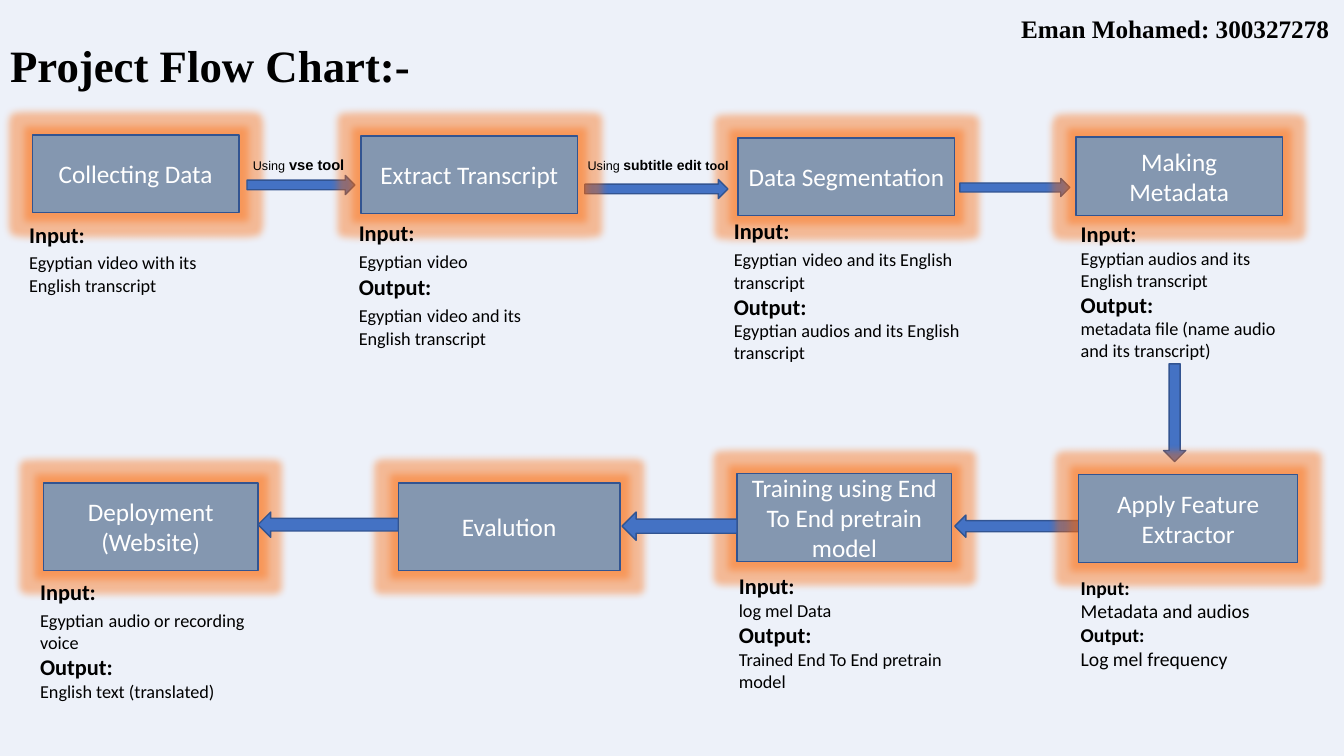
from copy import deepcopy
from lxml import etree
from pptx import Presentation
from pptx.dml.color import RGBColor
from pptx.enum.shapes import MSO_SHAPE as Preset
from pptx.enum.text import MSO_ANCHOR as Anchor, PP_ALIGN as Align
from pptx.oxml.ns import qn
from pptx.util import Inches, Pt

COLORS = {"page": "EDF1F9", "step": "8497B0", "arrow": "4472C4", "edge": "325491",
          "glow": "FF6600", "light": "FFFFFF", "dark": "000000"}


def add_block(preset, place, fill):
    block = page.shapes.add_shape(preset, *map(Inches, place))
    block.shadow.inherit = False
    block.fill.solid()
    block.fill.fore_color.rgb = RGBColor.from_string(COLORS[fill])
    block.line.color.rgb = RGBColor.from_string(COLORS["edge"])
    block.line.width = Pt(1)
    return block


def add_span(para, words, size, bold=False, font="Calibri", color="dark"):
    span = para.add_run()
    span.text = words
    span.font.size = Pt(size)
    span.font.bold = bold
    span.font.name = font
    span.font.color.rgb = RGBColor.from_string(COLORS[color])
    return span


deck = Presentation()
deck.slide_width, deck.slide_height = Inches(13.33), Inches(7.5)
page = deck.slides.add_slide(deck.slide_layouts[5])
page.background.fill.solid()
page.background.fill.fore_color.rgb = RGBColor.from_string(COLORS["page"])

title = page.shapes.title
title.left, title.top, title.width, title.height = map(Inches, (0, 0.29, 8.24, 0.76))
title.text_frame.vertical_anchor = Anchor.MIDDLE
para = title.text_frame.paragraphs[0]
para.alignment = Align.LEFT
para.line_spacing = 0.9
add_span(para, "Project Flow Chart:-", 32, True, "Times New Roman")

lower_steps = [
    ("Collecting Data", (0.32, 1.34, 2.05, 0.77)),
    ("Data Segmentation", (7.32, 1.37, 2.15, 0.77)),
    ("Training using End To End pretrain model", (7.31, 4.7, 2.13, 0.87)),
    ("Deployment\n(Website)", (0.43, 4.79, 2.13, 0.87)),
    ("Evalution", (3.95, 4.79, 2.2, 0.87)),
]
arrows = [
    (Preset.RIGHT_ARROW, (2.45, 1.74, 1.07, 0.19)),
    (Preset.RIGHT_ARROW, (5.8, 1.78, 1.42, 0.19)),
    (Preset.RIGHT_ARROW, (9.52, 1.77, 1.09, 0.18)),
    (Preset.DOWN_ARROW, (11.54, 3.61, 0.22, 0.97)),
    (Preset.LEFT_ARROW, (9.47, 5.11, 1.24, 0.22)),
    (Preset.LEFT_ARROW, (6.17, 5.08, 1.14, 0.28)),
    (Preset.LEFT_ARROW, (2.56, 5.08, 1.39, 0.25)),
]
upper_steps = [
    ("Extract Transcript", (3.58, 1.35, 2.15, 0.77)),
    ("Making\nMetadata", (10.67, 1.36, 2.05, 0.78)),
    ("Apply Feature Extractor", (10.7, 4.71, 2.17, 0.87)),
]

for steps, links in ((lower_steps, arrows), (upper_steps, [])):
    for name, place in steps:
        step = add_block(Preset.RECTANGLE, place, "step")
        effects = step._element.spPr.find(qn("a:effectLst"))
        glow = etree.SubElement(effects, qn("a:glow"), rad="139700")
        tint = etree.SubElement(glow, qn("a:srgbClr"), val=COLORS["glow"])
        etree.SubElement(tint, qn("a:alpha"), val="40000")
        frame = step.text_frame
        frame.word_wrap = True
        frame.vertical_anchor = Anchor.MIDDLE
        for index, line in enumerate(name.split("\n")):
            para = frame.add_paragraph() if index else frame.paragraphs[0]
            para.alignment = Align.CENTER
            add_span(para, line, 18, color="light")
    for preset, place in links:
        add_block(preset, place, "arrow")

notes = [
    ((0.19, 2.13, 2.09, 0.87), 16, 13,
     [("Input:", ["Egyptian", " ", "video with its English transcript"])]),
    ((3.46, 2.22, 2.21, 1.2), 16, 13,
     [("Input:", ["Egyptian", " ", "video"]),
      ("Output:", ["Egyptian", " ", "video and its English transcript"])]),
    ((7.18, 2.22, 2.56, 1.32), 16, 13,
     [("Input:", ["Egyptian", " ", "video and its English transcript"]),
      ("Output:", ["Egyptian audios and its English transcript"])]),
    ((10.62, 2.22, 2.38, 1.33), 16, 13,
     [("Input:", ["Egyptian audios and its English transcript"]),
      ("Output:", ["metadata file (name audio and its transcript)"])]),
    ((7.23, 5.58, 2.36, 1.38), 16, 13,
     [("Input:", ["log mel Data"]),
      ("Output:", ["Trained End To End pretrain model"])]),
    ((0.3, 5.66, 2.36, 1.38), 16, 13,
     [("Input:", ["Egyptian", " ", "audio or recording voice"]),
      ("Output:", ["English text (translated)"])]),
    ((10.62, 5.66, 2.21, 1.04), 14, 14,
     [("Input:", ["Metadata and audios"]),
      ("Output:", ["Log mel frequency"])]),
]
for place, heading_size, body_size, entries in notes:
    box = page.shapes.add_textbox(*map(Inches, place))
    frame = box.text_frame
    frame.word_wrap = True
    frame.vertical_anchor = Anchor.MIDDLE
    for index, (heading, body) in enumerate(entries):
        para = frame.add_paragraph() if index else frame.paragraphs[0]
        span = add_span(para, heading, heading_size, True)
        para.add_line_break()
        para._p.find(qn("a:br")).append(deepcopy(span._r.rPr))
        for words in body:
            gap = words == " "
            add_span(para, words, heading_size if gap else body_size, gap)

labels = [
    ((2.41, 1.5, 1.13, 0.28), "Arial",
     [("Using", 9, False), (" ", 10.5, False), ("vse tool", 10.5, True)]),
    ((5.73, 1.5, 1.66, 0.27), "Arial",
     [("Using ", 9, False), ("subtitle edit ", 10, True), ("tool", 9, True)]),
    ((10.03, 0.08, 3.3, 0.71), "Times New Roman",
     [("Eman Mohamed: 300327278", 18, True)]),
]
for place, font, spans in labels:
    box = page.shapes.add_textbox(*map(Inches, place))
    box.text_frame.word_wrap = True
    for words, size, bold in spans:
        add_span(box.text_frame.paragraphs[0], words, size, bold, font)

deck.save("out.pptx")
